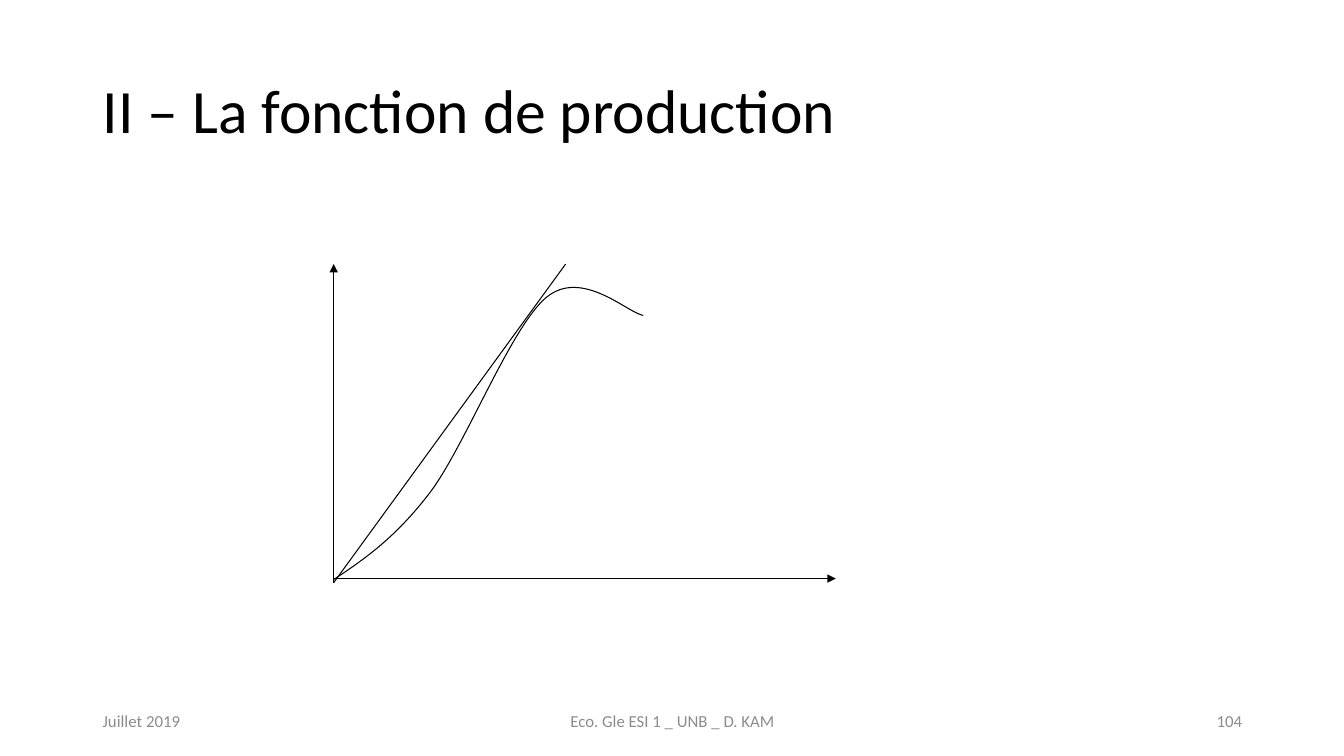
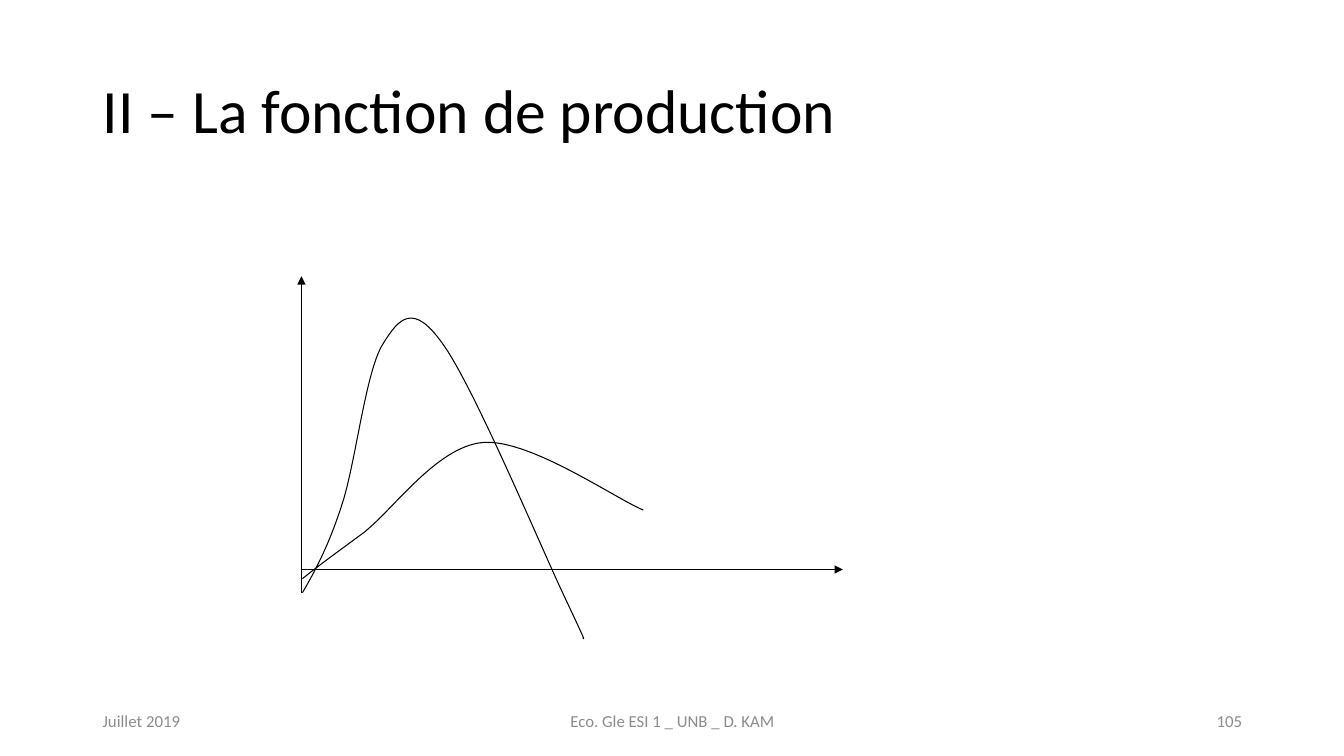
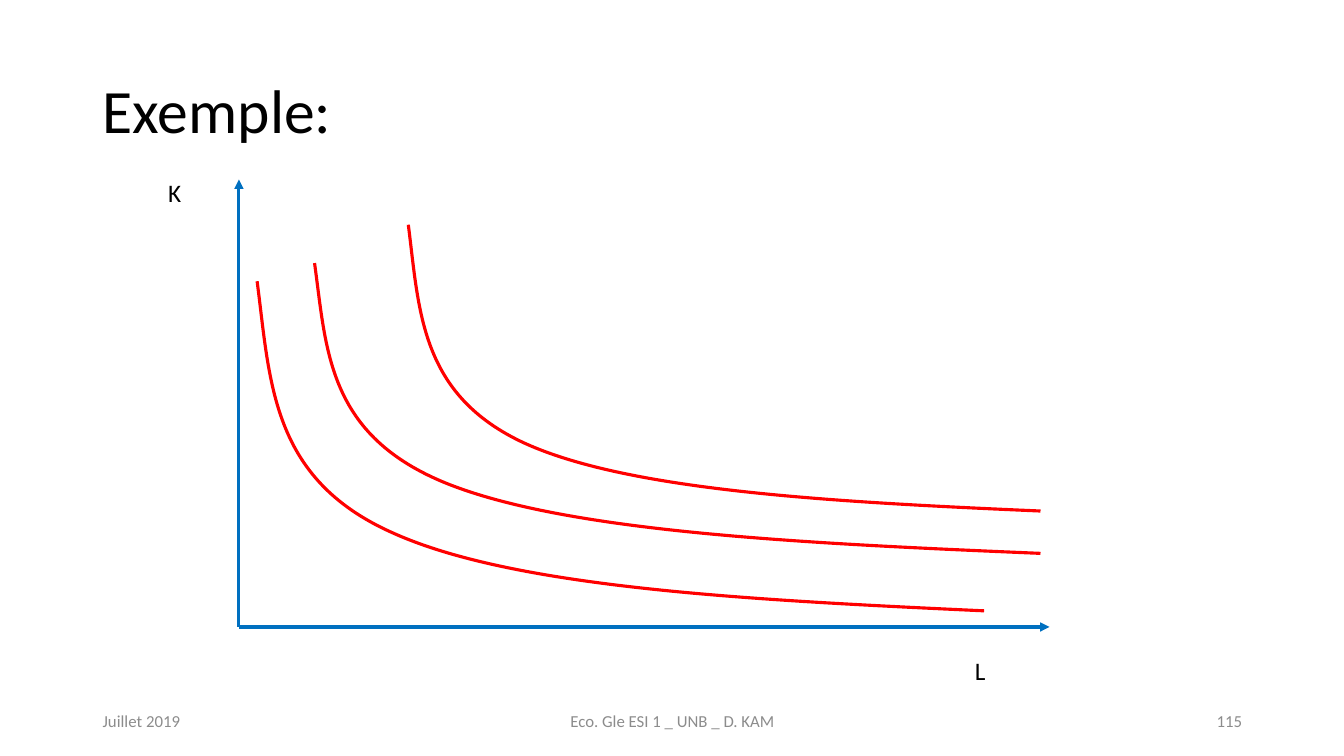
from pptx import Presentation
from pptx.dml.color import RGBColor
from pptx.enum.shapes import MSO_CONNECTOR
from pptx.enum.text import MSO_ANCHOR, MSO_AUTO_SIZE, PP_ALIGN
from pptx.oxml.ns import qn
from pptx.util import Inches, Pt
from lxml import etree

STRAIGHT = MSO_CONNECTOR.STRAIGHT
TOP, MIDDLE = MSO_ANCHOR.TOP, MSO_ANCHOR.MIDDLE
LEFT, CENTER, RIGHT = PP_ALIGN.LEFT, PP_ALIGN.CENTER, PP_ALIGN.RIGHT
NO_AUTOFIT = MSO_AUTO_SIZE.NONE

FONT = "Calibri"
BLACK, GREY, RED, BLUE = "000000", "8C8C8C", "FF0000", "0070C0"
THIN, THICK = 0.75, 2.24
TITLE_ONLY = 5

PRODUCTION_TITLE = "II – La fonction de production"
COURSE_DATE = "Juillet 2019"
COURSE_NAME = "Eco. Gle ESI 1 _ UNB _ D. KAM"

# Each curve: the start point, then control, control, end for every segment.
TOTAL_PRODUCT = [
    (3.31, 5.75),
    (3.61, 5.55), (3.92, 5.34), (4.27, 4.88),
    (4.62, 4.41), (5.07, 3.24), (5.42, 2.95),
    (5.77, 2.66), (6.22, 3.1), (6.38, 3.13)]
MARGINAL_PRODUCT = [
    (3, 5.88),
    (3.14, 5.64), (3.27, 5.39), (3.4, 4.98),
    (3.53, 4.57), (3.63, 3.67), (3.8, 3.41),
    (3.96, 3.15), (4.1, 3), (4.39, 3.41),
    (4.69, 3.82), (5.35, 5.39), (5.58, 5.88),
    (5.81, 6.37), (5.8, 6.35), (5.78, 6.33)]
AVERAGE_PRODUCT = [
    (3, 5.74),
    (3.15, 5.62), (3.3, 5.51), (3.6, 5.29),
    (3.9, 5.06), (4.33, 4.43), (4.79, 4.39),
    (5.25, 4.35), (6.11, 4.95), (6.38, 5.06)]
ISOQUANTS = [
    [(3.12, 2.61),
     (3.24, 3.47), (3.24, 4.32), (4.44, 4.8),
     (5.65, 5.28), (7.94, 5.39), (10.32, 5.49)],
    [(4.05, 2.23),
     (4.16, 3.08), (4.16, 3.92), (5.21, 4.4),
     (6.25, 4.87), (8.24, 4.98), (10.32, 5.07)],
    [(2.55, 2.79),
     (2.68, 3.78), (2.68, 4.74), (3.88, 5.28),
     (5.08, 5.83), (7.37, 5.95), (9.76, 6.06)]]


def rgb(color):
    """Turn a hex string into a colour."""
    return RGBColor.from_string(color)


def write(shape, text, size, color, align=LEFT, anchor=MIDDLE):
    """Put one formatted paragraph into a shape and return it."""
    frame = shape.text_frame
    frame.word_wrap = True
    frame.auto_size = NO_AUTOFIT
    frame.vertical_anchor = anchor
    frame.text = text
    paragraph = frame.paragraphs[0]
    paragraph.alignment = align
    paragraph.font.name = FONT
    paragraph.font.size = Pt(size)
    paragraph.font.color.rgb = rgb(color)
    return paragraph


def add_label(slide, box, text, size, color, align=LEFT, anchor=MIDDLE):
    """Add a text box at box = (left, top, width, height)."""
    label = slide.shapes.add_textbox(*map(Inches, box))
    write(label, text, size, color, align, anchor)


def style_line(line, color, width):
    """Set the colour and width of a line."""
    line.color.rgb = rgb(color)
    line.width = Pt(width)


def add_line(slide, start, end, color=BLACK, width=THIN, arrow=False):
    """Draw a straight line, with an arrowhead at its end if asked."""
    connector = slide.shapes.add_connector(
        STRAIGHT, *map(Inches, (*start, *end)))
    style_line(connector.line, color, width)
    properties = connector._element.spPr
    if arrow:
        outline = properties.find(qn("a:ln"))
        etree.SubElement(outline, qn("a:tailEnd"), type="triangle")
    etree.SubElement(properties, qn("a:effectLst"))


def bend_segments(outline):
    """Join every three straight steps of an outline into a Bézier segment."""
    steps = list(outline._element.iter(qn("a:lnTo")))
    for first in range(0, len(steps), 3):
        segment = etree.Element(qn("a:cubicBezTo"))
        steps[first].addprevious(segment)
        for step in steps[first:first + 3]:
            segment.append(step[0])
            step.getparent().remove(step)


def add_curve(slide, points, color=BLACK, width=THIN):
    """Draw a smooth open curve from its Bézier points."""
    start, *rest = [(Inches(x), Inches(y)) for x, y in points]
    builder = slide.shapes.build_freeform(*start)
    builder.add_line_segments(rest, close=False)
    outline = builder.convert_to_shape()
    bend_segments(outline)
    outline.shadow.inherit = False
    outline.fill.background()
    style_line(outline.line, color, width)


def add_slide(deck, title):
    """Add a slide with its title."""
    slide = deck.slides.add_slide(deck.slide_layouts[TITLE_ONLY])
    heading = slide.shapes.title
    heading.left, heading.top = Inches(0.92), Inches(0.4)
    heading.width, heading.height = Inches(11.5), Inches(1.45)
    write(heading, title, 44, BLACK).line_spacing = 0.9
    return slide


def add_footer(slide, number):
    """Add the date, slide number and course name."""
    for left, width, text, align in (
            (0.92, 3, COURSE_DATE, LEFT),
            (9.42, 3, str(number), RIGHT),
            (4.42, 4.5, COURSE_NAME, CENTER)):
        add_label(slide, (left, 6.95, width, 0.4), text, 12, GREY, align)


def add_total_product(deck):
    """Total product curve with its tangent from the origin."""
    slide = add_slide(deck, PRODUCTION_TITLE)
    add_line(slide, (3.31, 5.74), (8.29, 5.74), arrow=True)
    add_line(slide, (3.31, 5.78), (3.31, 2.62), arrow=True)
    add_curve(slide, TOTAL_PRODUCT)
    add_line(slide, (3.31, 5.78), (5.61, 2.62))
    add_footer(slide, 104)


def add_unit_products(deck):
    """Marginal and average product curves."""
    slide = add_slide(deck, PRODUCTION_TITLE)
    add_line(slide, (2.99, 5.88), (2.99, 2.74), arrow=True)
    add_line(slide, (3, 5.65), (8.36, 5.65), arrow=True)
    add_curve(slide, MARGINAL_PRODUCT)
    add_curve(slide, AVERAGE_PRODUCT)
    add_footer(slide, 105)


def add_isoquants(deck):
    """Isoquant map with capital and labour axes."""
    slide = add_slide(deck, "Exemple:")
    for isoquant in ISOQUANTS:
        add_curve(slide, isoquant, RED, THICK)
    origin = (2.37, 6.22)
    for axis_end in ((2.37, 1.78), (10.41, 6.22)):
        add_line(slide, origin, axis_end, BLUE, THICK, arrow=True)
    add_label(slide, (1.57, 1.71, 0.76, 0.41), "K", 18, BLACK, anchor=TOP)
    add_label(slide, (9.57, 6.45, 0.87, 0.41), "L", 18, BLACK, anchor=TOP)
    add_footer(slide, 115)


def main():
    """Build and save the deck."""
    deck = Presentation()
    deck.slide_width, deck.slide_height = Inches(13.33), Inches(7.5)
    add_total_product(deck)
    add_unit_products(deck)
    add_isoquants(deck)
    deck.save("out.pptx")


main()
